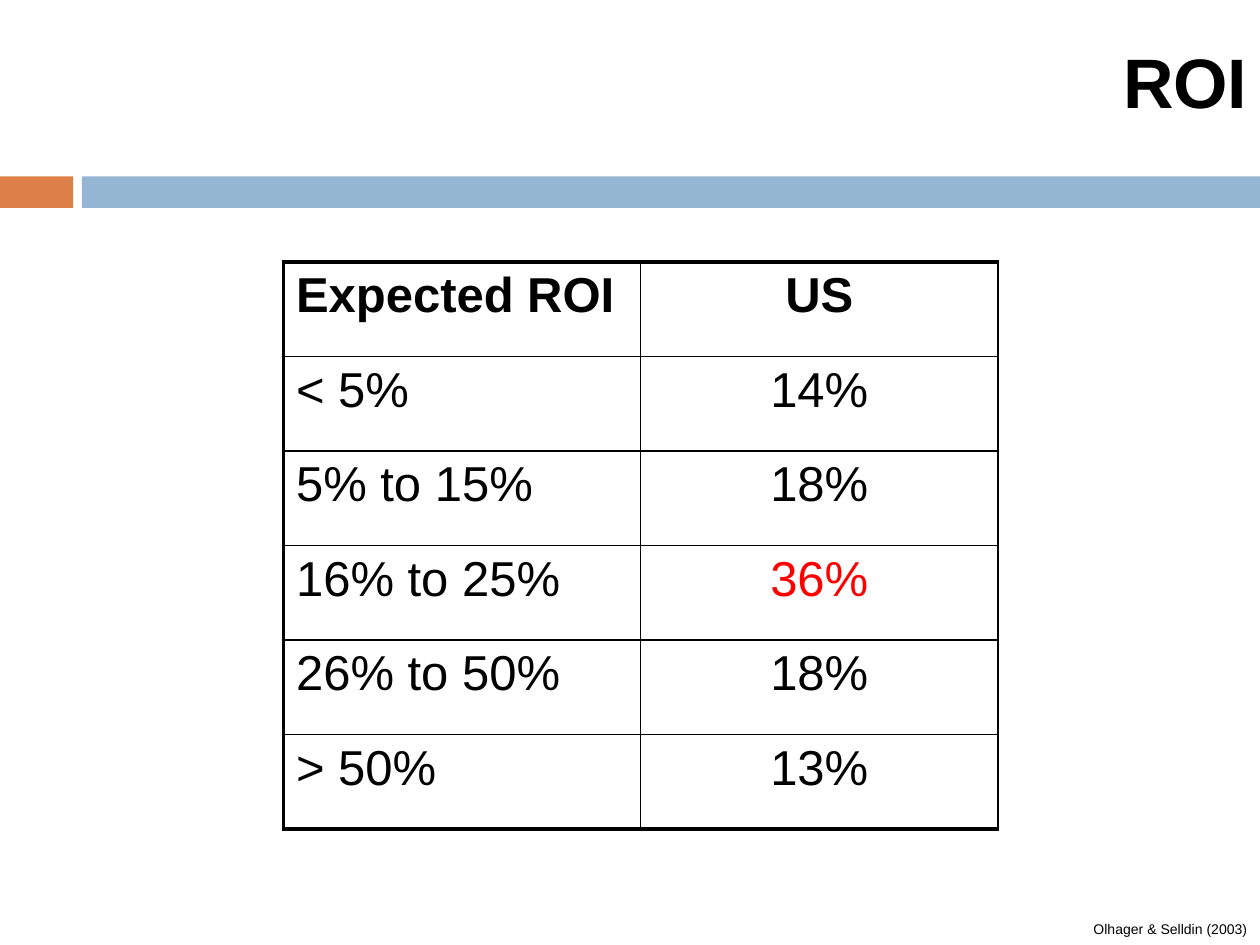
import dataclasses

import pptx
import pptx.dml.color
import pptx.enum.shapes
import pptx.enum.text
import pptx.oxml.ns
import pptx.util
from lxml import etree

Inches = pptx.util.Inches
RIGHT = pptx.enum.text.PP_ALIGN.RIGHT
CENTER = pptx.enum.text.PP_ALIGN.CENTER
LEFT = pptx.enum.text.PP_ALIGN.LEFT


@dataclasses.dataclass(frozen=True)
class Theme:
    """Colours, type sizes and line widths of the slide."""

    font: str = "Arial"
    ink: str = "000000"
    highlight: str = "FF0000"
    accent: str = "DD8047"
    band: str = "94B6D2"
    title_size: int = 40
    table_size: int = 28
    citation_size: int = 8
    thin: float = 1
    thick: float = 2.25


THEME = Theme()
ROI_ROWS = [
    ("Expected ROI", "US"),
    ("< 5%", "14%"),
    ("5% to 15%", "18%"),
    ("16% to 25%", "36%"),
    ("26% to 50%", "18%"),
    ("> 50%", "13%"),
]


def apply_format(target, values):
    """Set each named attribute of the target."""
    for name, value in values.items():
        setattr(target, name, value)


def write_text(frame, wording, size, align, bold=False, color=THEME.ink):
    """Write one formatted paragraph into a text frame."""
    frame.text = wording
    paragraph = frame.paragraphs[0]
    paragraph.alignment = align
    font = paragraph.runs[0].font
    apply_format(font, {"name": THEME.font, "size": pptx.util.Pt(size), "bold": bold})
    font.color.rgb = pptx.dml.color.RGBColor.from_string(color)


def place_title(slide, box):
    """Move the title placeholder into the box and fill it."""
    title = slide.shapes.title
    apply_format(title, dict(zip(("left", "top", "width", "height"), box)))
    write_text(title.text_frame, "ROI", THEME.title_size, RIGHT, bold=True)
    apply_format(title.text_frame, {
        "word_wrap": False,
        "vertical_anchor": pptx.enum.text.MSO_ANCHOR.BOTTOM,
    })


def place_divider(slide, box):
    """Draw the short accent and the long band across the box."""
    left, top, width, height = box
    accent_width, band_offset = Inches(0.58), Inches(0.65)
    for start, length, color in (
        (left, accent_width, THEME.accent),
        (left + band_offset, width - band_offset, THEME.band),
    ):
        bar = slide.shapes.add_shape(
            pptx.enum.shapes.MSO_SHAPE.RECTANGLE, start, top, length, height)
        bar.shadow.inherit = False
        bar.fill.solid()
        bar.fill.fore_color.rgb = pptx.dml.color.RGBColor.from_string(color)
        bar.line.fill.background()


def draw_borders(cell, widths):
    """Give the cell solid borders of the given widths by side."""
    properties = cell._tc.get_or_add_tcPr()
    for position, (side, width) in enumerate(widths.items()):
        border = etree.Element(
            pptx.oxml.ns.qn(f"a:ln{side}"), w=str(pptx.util.Pt(width)))
        fill = etree.SubElement(border, pptx.oxml.ns.qn("a:solidFill"))
        etree.SubElement(fill, pptx.oxml.ns.qn("a:srgbClr"), val=THEME.ink)
        properties.insert(position, border)


def place_roi_table(slide, box):
    """Build the table of expected ROI shares in the box."""
    last_row = len(ROI_ROWS) - 1
    table = slide.shapes.add_table(len(ROI_ROWS), len(ROI_ROWS[0]), *box).table
    apply_format(table, {"first_row": False, "horz_banding": False})
    for row, shares in enumerate(ROI_ROWS):
        for column, wording in enumerate(shares):
            cell = table.cell(row, column)
            cell.fill.background()
            write_text(
                cell.text_frame, wording, THEME.table_size,
                CENTER if column else LEFT, bold=row == 0,
                color=THEME.highlight if wording == "36%" else THEME.ink)
            draw_borders(cell, {
                "L": THEME.thin if column else THEME.thick,
                "R": THEME.thin,
                "T": THEME.thin if row else THEME.thick,
                "B": THEME.thick if row == last_row else THEME.thin,
            })


def place_citation(slide, box):
    """Write the source citation in the box."""
    citation = slide.shapes.add_textbox(*box)
    write_text(citation.text_frame, "Olhager & Selldin (2003)",
               THEME.citation_size, RIGHT)
    citation.text_frame.word_wrap = False


def main():
    """Build and save the slide."""
    deck = pptx.Presentation()
    apply_format(deck, {"slide_width": Inches(10), "slide_height": Inches(7.5)})
    slide = deck.slides.add_slide(deck.slide_layouts.get_by_name("Title Only"))
    for place, box in (
        (place_divider, (0, 1.4, 10, 0.25)),
        (place_title, (8.8, 0.25, 1.2, 0.77)),
        (place_roi_table, (2.25, 2.08, 5.67, 4.5)),
        (place_citation, (8.56, 7.26, 1.44, 0.24)),
    ):
        place(slide, [Inches(length) for length in box])
    deck.save("out.pptx")


if __name__ == "__main__":
    main()
